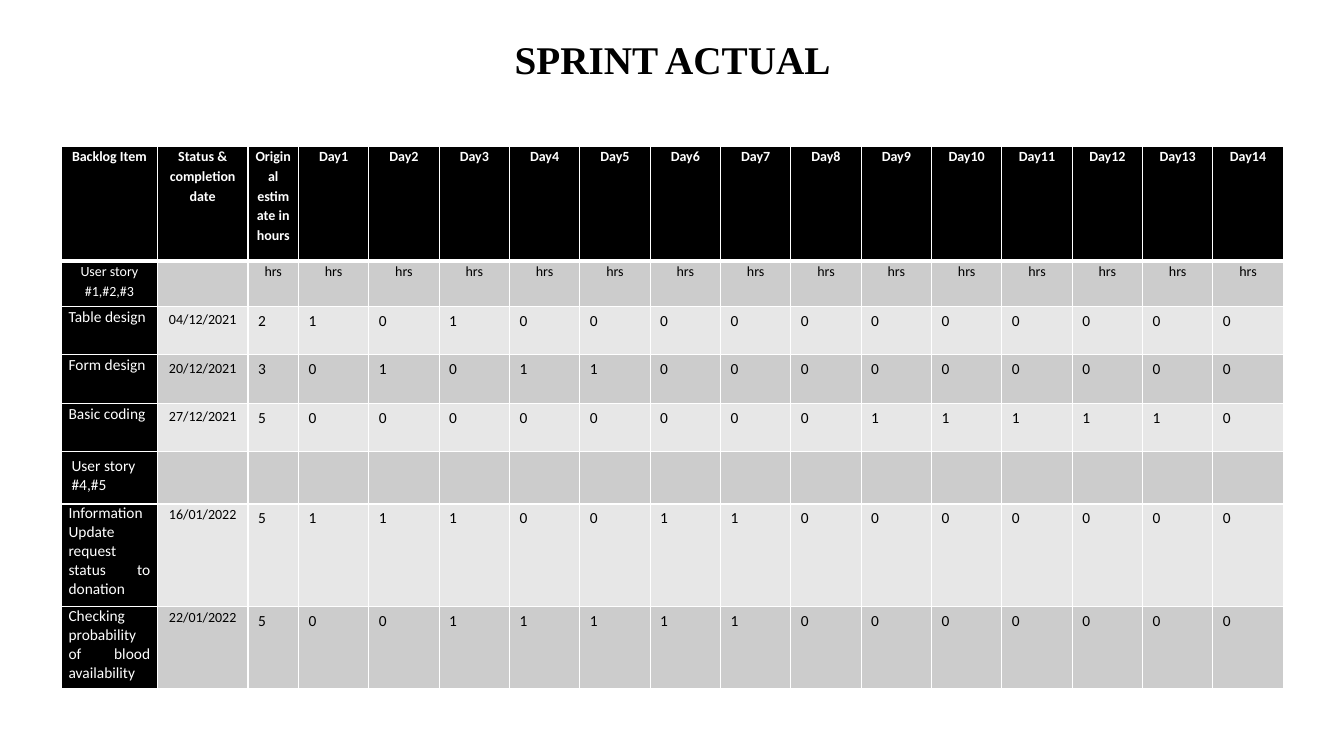
from dataclasses import dataclass

from lxml.etree import SubElement
from pptx import Presentation
from pptx.dml.color import RGBColor
from pptx.enum.text import MSO_ANCHOR, PP_ALIGN
from pptx.oxml.ns import qn
from pptx.util import Inches, Pt

COLORS = {"black": "000000", "white": "FFFFFF", "dark": "CCCCCC", "light": "E7E7E7"}
DAYS = 14
LEFT, TOP, WIDTH = 0.61, 1.45, 12.12
LEAD_WIDTHS = [0.95, 0.9, 0.5]


@dataclass(frozen=True)
class Style:
    size: float = 11
    color: str = "black"
    bold: bool = False
    align: PP_ALIGN = PP_ALIGN.LEFT
    spacing: float = 1.0
    after: float = 0
    inset_x: float = 0.1
    inset_y: float = 0.05


@dataclass(frozen=True)
class Row:
    height: float
    texts: list[str]
    item: Style
    date: Style
    hours: Style


# Cell styles
HEADER = Style(10, "white", True, PP_ALIGN.CENTER, 1.15, 0, 0.07, 0)
STORY = Style(10, "white", False, PP_ALIGN.CENTER, 1.15, 0, 0.07, 0)
UNIT = Style(10, "black", False, PP_ALIGN.CENTER, 1.15, 0, 0.07, 0)
TASK = Style(color="white", spacing=1.07, after=8, inset_x=0.07, inset_y=0)
LONG_TASK = Style(color="white", align=PP_ALIGN.JUSTIFY, inset_x=0.07, inset_y=0)
DATE = Style(size=10, align=PP_ALIGN.CENTER, inset_x=0.11)
NUMBER = Style()


def task_row(height: float, name: str, date: str, estimate: str, days: str,
             item: Style = TASK, date_style: Style = DATE) -> Row:
    return Row(height, [name, date, estimate, *days], item, date_style, NUMBER)


ROWS = [
    Row(1.14, ["Backlog Item", "Status & completion date", "Original estimate in hours",
               *(f"Day{day}" for day in range(1, DAYS + 1))], HEADER, HEADER, HEADER),
    Row(0.45, ["User story #1,#2,#3", "", *["hrs"] * (DAYS + 1)], STORY, UNIT, UNIT),
    task_row(0.48, "Table design", "04/12/2021", "2", "10100000000000"),
    task_row(0.48, "Form design", "20/12/2021", "3", "01011000000000"),
    task_row(0.48, "Basic coding", "27/12/2021", "5", "00000000111110"),
    Row(0.52, ["User story #4,#5", *[""] * (DAYS + 2)], Style(color="white"), DATE, NUMBER),
    task_row(1.02, "Information Update request status to donation", "16/01/2022", "5",
             "11100110000000", LONG_TASK, UNIT),
    task_row(0.81, "Checking probability of blood availability", "22/01/2022", "5",
             "00111110000000", LONG_TASK, UNIT),
]


def rgb(name: str) -> RGBColor:
    return RGBColor.from_string(COLORS[name])


def add_text(p, text: str, font: str, style: Style) -> None:
    p.alignment = style.align
    p.line_spacing = style.spacing
    p.space_after = Pt(style.after)
    p.font.size = Pt(style.size)
    if text:
        r = p.add_run()
        r.text = text
        r.font.name = font
        r.font.size = Pt(style.size)
        r.font.bold = style.bold
        r.font.color.rgb = rgb(style.color)


def set_borders(cell, top: float, bottom: float) -> None:
    tc_pr = cell._tc.get_or_add_tcPr()
    for side, width in {"L": 1, "R": 1, "T": top, "B": bottom}.items():
        ln = SubElement(tc_pr, qn(f"a:ln{side}"), w=str(Pt(width)))
        fill = SubElement(ln, qn("a:solidFill"))
        SubElement(fill, qn("a:srgbClr"), val=COLORS["white"])


def fill_cell(cell, text: str, style: Style, fill: str) -> None:
    cell.margin_left = cell.margin_right = Inches(style.inset_x)
    cell.margin_top = cell.margin_bottom = Inches(style.inset_y)
    cell.fill.solid()
    cell.fill.fore_color.rgb = rgb(fill)
    add_text(cell.text_frame.paragraphs[0], text, "Calibri", style)


def add_title(s) -> None:
    sp = s.shapes.add_textbox(Inches(0.92), Inches(0.25), Inches(11.5), Inches(1.45))
    tf = sp.text_frame
    tf.word_wrap = True
    tf.vertical_anchor = MSO_ANCHOR.TOP
    tf.margin_top = Inches(0.15)
    add_text(tf.paragraphs[0], "SPRINT ACTUAL", "Times New Roman",
             Style(28, bold=True, align=PP_ALIGN.CENTER, spacing=0.9))


def add_sprint_table(s) -> None:
    day_width = (WIDTH - sum(LEAD_WIDTHS)) / DAYS
    widths = LEAD_WIDTHS + [day_width] * DAYS
    height = sum(row.height for row in ROWS)
    table = s.shapes.add_table(len(ROWS), len(widths), Inches(LEFT), Inches(TOP),
                               Inches(WIDTH), Inches(height)).table
    table.first_row = table.horz_banding = False
    for column, width in zip(table.columns, widths):
        column.width = Inches(width)
    for i, row in enumerate(ROWS):
        table.rows[i].height = Inches(row.height)
        styles = [row.item, row.date] + [row.hours] * (DAYS + 1)
        band = "dark" if i % 2 else "light"
        for j, (text, style) in enumerate(zip(row.texts, styles)):
            cell = table.cell(i, j)
            # A thicker rule separates the header from the body
            set_borders(cell, top=3 if i == 1 else 1, bottom=3 if i == 0 else 1)
            fill_cell(cell, text, style, "black" if i == 0 or j == 0 else band)


def main() -> None:
    prs = Presentation()
    prs.slide_width, prs.slide_height = Inches(13.33), Inches(7.5)
    s = prs.slides.add_slide(prs.slide_layouts[6])
    add_title(s)
    add_sprint_table(s)
    prs.save("out.pptx")


if __name__ == "__main__":
    main()
